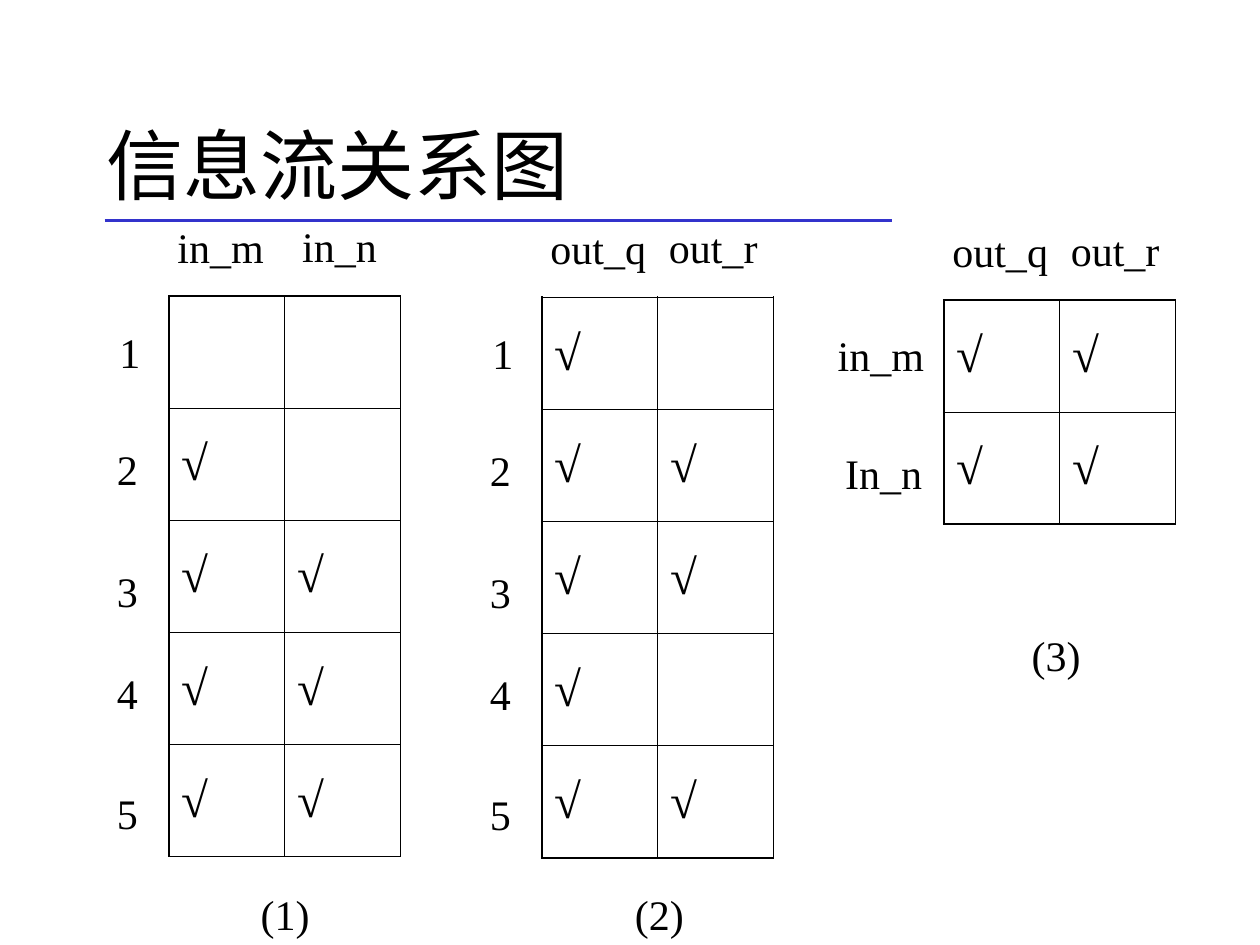
from lxml.etree import SubElement
from pptx import Presentation
from pptx.dml.color import RGBColor
from pptx.enum.shapes import MSO_CONNECTOR
from pptx.enum.text import MSO_ANCHOR, PP_ALIGN
from pptx.oxml import parse_xml
from pptx.oxml.ns import nsdecls, qn
from pptx.util import Inches, Pt

BLACK = RGBColor(0x00, 0x00, 0x00)
BLUE = RGBColor(0x33, 0x33, 0xCC)

SLIDE_WIDTH, SLIDE_HEIGHT = Inches(10), Inches(7.5)
GRID_COLUMN, GRID_ROW = SLIDE_WIDTH // 1000, SLIDE_HEIGHT // 750
CELL_COLUMNS, CELL_ROWS = 92, 89
LABEL_ROWS = 50
HEADER_OFFSETS = (-64, -65)
ROW_OFFSETS = (19, 112, 209, 290, 385)
OUTER_LINE, INNER_LINE = Pt(1.08), Pt(0.45)

TITLE_FORMAT = {"name": "Times New Roman", "size": Pt(44)}
LABEL_FORMAT = {"name": "Times New Roman", "size": Pt(24)}
MARK_FORMAT = {"name": "Times New Roman", "size": Pt(28)}

NUMBER_LABELS = [("1", -49, 40)] + [(digit, -51, 40) for digit in "2345"]
OUTPUT_HEADERS = [("out_q", -3, 105), ("out_r", 91, 92)]
MATRICES = [
    {
        "box": (134, 235),
        "marks": ["  ", "√ ", "√√", "√√", "√√"],
        "headers": [("in_m", -3, 92), ("in_n", 96, 92)],
        "row_labels": NUMBER_LABELS,
        "caption": ("(1)", 63, 465),
    },
    {
        "box": (430, 236),
        "marks": ["√ ", "√√", "√√", "√ ", "√√"],
        "headers": OUTPUT_HEADERS,
        "row_labels": NUMBER_LABELS,
        "caption": ("(2)", 64, 464),
    },
    {
        "box": (749, 238),
        "marks": ["√√", "√√"],
        "headers": OUTPUT_HEADERS,
        "row_labels": [("in_m", -94, 98), ("In_n", -88, 82)],
        "caption": ("(3)", 60, 257),
    },
]


def place(left, top, width, height):
    return (left * GRID_COLUMN, top * GRID_ROW,
            width * GRID_COLUMN, height * GRID_ROW)


def write(para, text, font_format):
    span = para.add_run()
    span.text = text
    for name, value in font_format.items():
        setattr(span.font, name, value)
    span.font.color.rgb = BLACK


def add_text(page, box, text, font_format, frame_format, alignment):
    frame = page.shapes.add_textbox(*place(*box)).text_frame
    for name, value in frame_format.items():
        setattr(frame, name, value)
    para = frame.paragraphs[0]
    para.alignment = alignment
    write(para, text, font_format)


def add_label(page, left, top, width, text):
    add_text(page, (left, top, width, LABEL_ROWS), text, LABEL_FORMAT,
             {"word_wrap": True}, PP_ALIGN.JUSTIFY)


def add_title(page, box):
    left, top, width, height = box
    add_text(page, box, "信息流关系图", TITLE_FORMAT,
             {"word_wrap": True, "vertical_anchor": MSO_ANCHOR.MIDDLE},
             PP_ALIGN.LEFT)
    start_x, line_y, line_width, _ = place(left + 8, top + 108, 625, 0)
    rule = page.shapes.add_connector(
        MSO_CONNECTOR.STRAIGHT, start_x, line_y, start_x + line_width, line_y)
    rule.line.color.rgb = BLUE
    rule.line.width = Pt(2.25)
    SubElement(rule.element.spPr, qn("a:effectLst"))


def set_borders(cell, outer_sides):
    properties = cell._tc.get_or_add_tcPr()
    for position, (side, is_outer) in enumerate(outer_sides.items()):
        width = OUTER_LINE if is_outer else INNER_LINE
        properties.insert(position, parse_xml(
            f'<a:ln{side} {nsdecls("a")} w="{int(width)}"><a:solidFill>'
            f'<a:srgbClr val="{BLACK}"/></a:solidFill></a:ln{side}>'))


def add_matrix(page, box, marks, headers, row_labels, caption):
    left, top = box
    row_count, column_count = len(marks), len(marks[0])
    table = page.shapes.add_table(
        row_count, column_count,
        *place(left, top, column_count * CELL_COLUMNS,
               row_count * CELL_ROWS)).table
    table.first_row = table.horz_banding = False
    for row_index, row_marks in enumerate(marks):
        for column_index, mark in enumerate(row_marks):
            cell = table.cell(row_index, column_index)
            cell.fill.background()
            cell.vertical_anchor = MSO_ANCHOR.MIDDLE
            set_borders(cell, {
                "L": column_index == 0,
                "R": column_index == column_count - 1,
                "T": row_index == 0,
                "B": row_index == row_count - 1,
            })
            if mark.strip():
                write(cell.text_frame.paragraphs[0], mark, MARK_FORMAT)

    for labels, offsets in ((headers, HEADER_OFFSETS),
                            (row_labels, ROW_OFFSETS)):
        for (text, shift, width), offset in zip(labels, offsets):
            add_label(page, left + shift, top + offset, width, text)
    text, shift, offset = caption
    add_label(page, left + shift, top + offset, 67, text)


def main():
    deck = Presentation()
    deck.slide_width, deck.slide_height = SLIDE_WIDTH, SLIDE_HEIGHT
    page = deck.slides.add_slide(deck.slide_layouts[6])
    add_title(page, (75, 67, 850, 125))
    for matrix in MATRICES:
        add_matrix(page, **matrix)
    deck.save("out.pptx")


if __name__ == "__main__":
    main()
